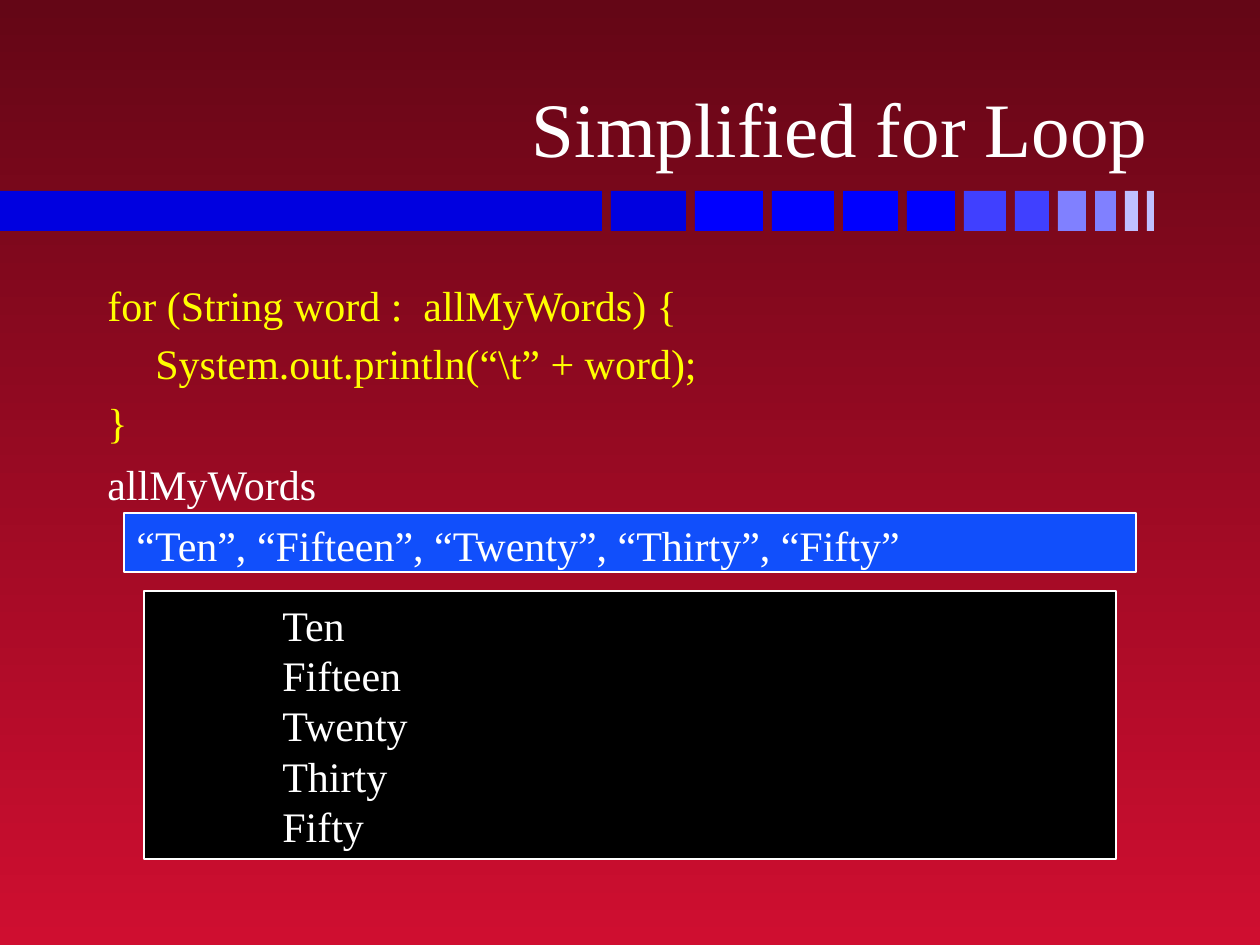
import pptx
import pptx.util
import pptx.dml.color
import pptx.enum.shapes
import pptx.enum.text

PX = 914400 / 126
FONT = "Times New Roman"
WHITE = "FFFFFF"
ALIGN = pptx.enum.text.PP_ALIGN
ANCHOR = pptx.enum.text.MSO_ANCHOR


def emu(px):
    return pptx.util.Emu(round(px * PX))


def color(code):
    return pptx.dml.color.RGBColor.from_string(code)


def write(shape, lines, size=24, ink=WHITE, align=ALIGN.LEFT,
          anchor=ANCHOR.TOP, gap=0, wrap=True):
    """Fill a shape with (text, indent in px) lines."""
    frame = shape.text_frame
    frame.auto_size = pptx.enum.text.MSO_AUTO_SIZE.NONE
    frame.word_wrap = wrap
    frame.vertical_anchor = anchor
    for i, (text, indent) in enumerate(lines):
        para = frame.add_paragraph() if i else frame.paragraphs[0]
        para.text = text
        para.alignment = align
        para.space_before = pptx.util.Pt(gap if i else 0)
        if indent:
            para._p.get_or_add_pPr().set("marL", str(emu(indent)))
        para.font.name = FONT
        para.font.size = pptx.util.Pt(size)
        para.font.color.rgb = color(ink)


def add_rect(slide, x, y, w, h, fill, edge=None):
    rect = slide.shapes.add_shape(
        pptx.enum.shapes.MSO_SHAPE.RECTANGLE, emu(x), emu(y), emu(w), emu(h))
    rect.shadow.inherit = False
    rect.fill.solid()
    rect.fill.fore_color.rgb = color(fill)
    if edge:
        rect.line.color.rgb = color(edge)
        rect.line.width = pptx.util.Pt(1)
    else:
        rect.line.fill.background()
    return rect


def add_text(slide, x, y, w, h, lines, **style):
    box = slide.shapes.add_textbox(emu(x), emu(y), emu(w), emu(h))
    write(box, lines, **style)


def add_back(slide, top, foot):
    fill = slide.background.fill
    fill.gradient()
    fill.gradient_angle = 270
    for stop, code in zip(fill.gradient_stops, (top, foot)):
        stop.color.rgb = color(code)


def add_title(slide, x, y, w, h, text):
    title = slide.shapes.title
    title.left, title.top = emu(x), emu(y)
    title.width, title.height = emu(w), emu(h)
    write(title, [(text, 0)], size=44, align=ALIGN.RIGHT, anchor=ANCHOR.BOTTOM)


def add_bars(slide, x, y, h, gap):
    """Row of bars that shrink and fade to the right."""
    widths = [602, 75, 68, 62, 55, 48, 42, 34, 28, 21, 13, 7]
    fills = (["0000E0"] * 2 + ["0000FF"] * 4 + ["4040FF"] * 2
             + ["8080FF"] * 2 + ["C0C0FF"] * 2)
    for w, fill in zip(widths, fills):
        add_rect(slide, x, y, w, h, fill)
        x += w + gap


def add_code(slide, x, y, w, h):
    lines = [("for (String word :  allMyWords) {", 0),
             ("System.out.println(“\\t” + word);", 48),
             ("}", 0)]
    add_text(slide, x, y, w, h, lines, ink="FFFF00", gap=4.8)


def add_list(slide, x, y, w, h):
    """Variable name above the strip that holds its values."""
    label = 61
    strip = add_rect(slide, x + 29, y + label, w - 59, h - label,
                     "114FFB", edge=WHITE)
    write(strip, [("“Ten”, “Fifteen”, “Twenty”, “Thirty”, “Fifty”", 0)])
    add_text(slide, x, y, 237, 64, [("allMyWords", 0)], wrap=False)


def add_output(slide, x, y, w, h):
    screen = add_rect(slide, x, y, w, h, "000000", edge=WHITE)
    words = ["Ten", "Fifteen", "Twenty", "Thirty", "Fifty"]
    write(screen, [(word, 126) for word in words], anchor=ANCHOR.MIDDLE)


def main():
    deck = pptx.Presentation()
    deck.slide_width, deck.slide_height = emu(1260), emu(945)
    slide = deck.slides.add_slide(deck.slide_layouts[5])
    # Frame of the slide
    add_back(slide, "640616", "CF0E30")
    add_bars(slide, 0, 191, 40, 9)
    add_title(slide, 93, 24, 1068, 155, "Simplified for Loop")
    # Loop, its data and its output
    add_code(slide, 95, 273, 1071, 180)
    add_list(slide, 95, 452, 1071, 120)
    add_output(slide, 144, 591, 972, 268)
    deck.save("out.pptx")


if __name__ == "__main__":
    main()
